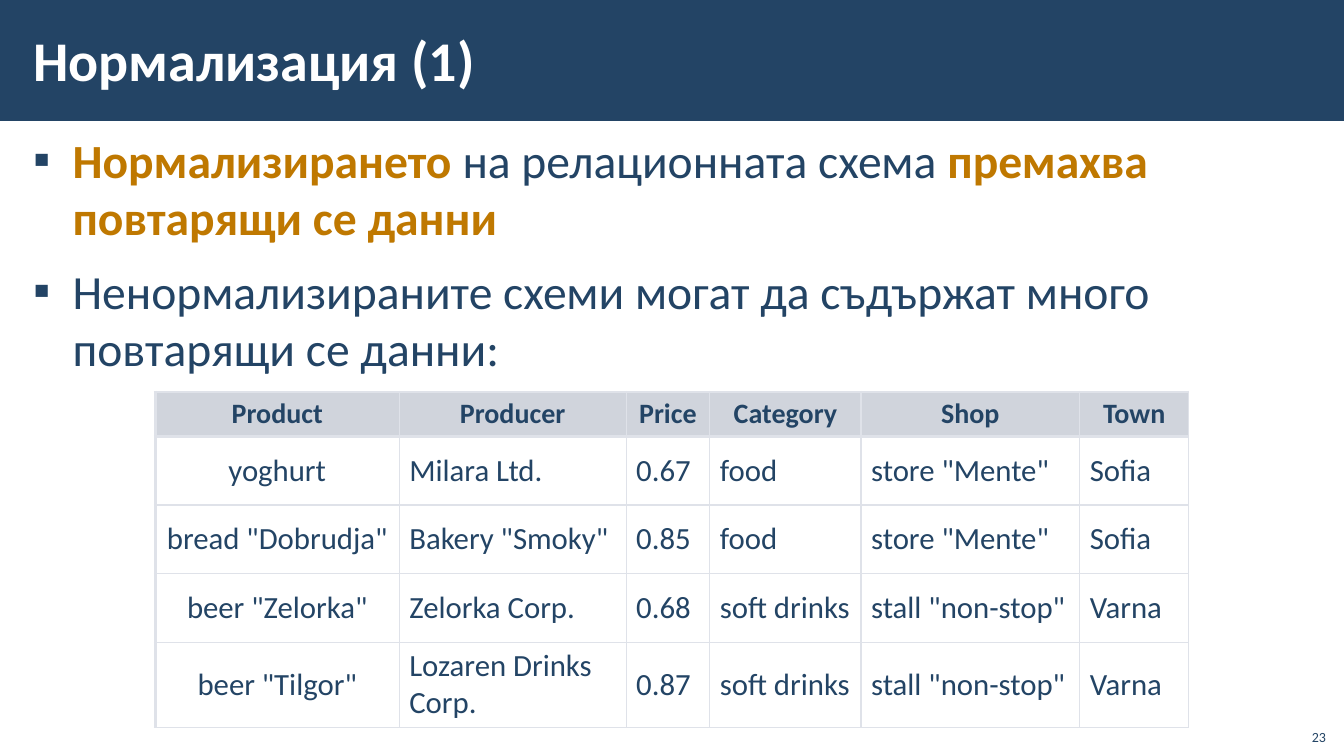
from dataclasses import dataclass

import lxml.etree
import pptx
import pptx.dml.color
import pptx.enum.shapes
import pptx.enum.text
import pptx.oxml.ns
import pptx.util
from pptx.util import Inches

ANCHOR = pptx.enum.text.MSO_ANCHOR
ALIGN = pptx.enum.text.PP_ALIGN


@dataclass(frozen=True)
class Theme:
    font: str = "Calibri"
    navy: str = "234465"
    amber: str = "BF7800"
    white: str = "FFFFFF"
    header: str = "D0D4DC"
    border: str = "DFE2E9"
    title_size: int = 40
    body_size: int = 34
    head_size: int = 20
    cell_size: int = 22
    number_size: int = 10
    thin: float = 0.96
    thick: float = 2.21


THEME = Theme()

BULLETS = [
    [("Нормализирането", True), (" на релационната схема ", False),
     ("премахва повтарящи се данни", True)],
    [("Ненормализираните схеми могат да съдържат много повтарящи се данни:", False)],
]

COLUMN_WIDTHS = [2.42, 2.25, 0.83, 1.5, 2.17, 1.08]
ROW_HEIGHTS = [0.44, 0.68, 0.68, 0.68, 0.84]
PRODUCTS = [
    ["Product", "Producer", "Price", "Category", "Shop", "Town"],
    ["yoghurt", "Milara Ltd.", "0.67", "food", 'store "Mente"', "Sofia"],
    ['bread "Dobrudja"', 'Bakery "Smoky"', "0.85", "food", 'store "Mente"', "Sofia"],
    ['beer "Zelorka"', "Zelorka Corp.", "0.68", "soft drinks", 'stall "non-stop"', "Varna"],
    ['beer "Tilgor"', "Lozaren Drinks Corp.", "0.87", "soft drinks", 'stall "non-stop"', "Varna"],
]


def color(value):
    return pptx.dml.color.RGBColor.from_string(value)


def set_font(font, size, value, bold=False):
    font.name = THEME.font
    font.size = pptx.util.Pt(size)
    font.bold = bold
    font.color.rgb = color(value)


def add_xml(parent, tag, **attributes):
    return lxml.etree.SubElement(parent, pptx.oxml.ns.qn(tag), attributes)


def set_frame(frame, anchor):
    frame.word_wrap = True
    frame.auto_size = pptx.enum.text.MSO_AUTO_SIZE.NONE
    frame.vertical_anchor = anchor
    frame.margin_left = frame.margin_right = Inches(0.12)
    frame.margin_top = frame.margin_bottom = Inches(0.04)


def add_header(page, left, top, width, height):
    # Band, placed behind the title
    title = page.shapes.title
    band = page.shapes.add_shape(
        pptx.enum.shapes.MSO_SHAPE.RECTANGLE, left, top, width, height)
    band.shadow.inherit = False
    band.fill.solid()
    band.fill.fore_color.rgb = color(THEME.navy)
    band.line.fill.background()
    title.element.addprevious(band.element)

    # Title
    title.left, title.top = left + Inches(0.21), top + Inches(0.11)
    title.width, title.height = Inches(11.23), Inches(0.96)
    set_frame(title.text_frame, ANCHOR.MIDDLE)
    title.text_frame.text = "Нормализация (1)"
    para = title.text_frame.paragraphs[0]
    para.alignment = ALIGN.LEFT
    set_font(para.font, THEME.title_size, THEME.white, True)


def add_bullets(page, left, top, width, height):
    frame = page.shapes.add_textbox(left, top, width, height).text_frame
    set_frame(frame, ANCHOR.TOP)
    for index, spans in enumerate(BULLETS):
        para = frame.add_paragraph() if index else frame.paragraphs[0]
        para.space_before = pptx.util.Pt(6 if index else 0)
        para.space_after = pptx.util.Pt(6)
        properties = para._p.get_or_add_pPr()
        properties.set("marL", str(Inches(0.39)))
        properties.set("indent", str(-Inches(0.39)))
        bullet_color = add_xml(properties, "a:buClr")
        add_xml(bullet_color, "a:srgbClr", val=THEME.navy)
        add_xml(properties, "a:buFont", typeface=THEME.font)
        add_xml(properties, "a:buChar", char="▪")
        for text, strong in spans:
            span = para.add_run()
            span.text = text
            set_font(span.font, THEME.body_size,
                     THEME.amber if strong else THEME.navy, strong)


def set_borders(cell, row, column):
    # Thick around the header row and down the left edge
    thick_sides = {"L": column == 0, "R": False, "T": row < 2, "B": row == 0}
    properties = cell._tc.get_or_add_tcPr()
    for side, thick in thick_sides.items():
        width = pptx.util.Pt(THEME.thick if thick else THEME.thin)
        line = add_xml(properties, f"a:ln{side}", w=str(width))
        add_xml(add_xml(line, "a:solidFill"), "a:srgbClr", val=THEME.border)


def add_product_table(page, left, top, width, height):
    table = page.shapes.add_table(
        len(PRODUCTS), len(COLUMN_WIDTHS), left, top, width, height).table
    table.horz_banding = False
    for column, column_width in zip(table.columns, COLUMN_WIDTHS):
        column.width = Inches(column_width)
    for row, row_height in zip(table.rows, ROW_HEIGHTS):
        row.height = Inches(row_height)
    for row, values in enumerate(PRODUCTS):
        is_header = row == 0
        for column, text in enumerate(values):
            cell = table.cell(row, column)
            cell.text = text
            cell.vertical_anchor = ANCHOR.MIDDLE
            set_borders(cell, row, column)
            if is_header:
                cell.fill.solid()
                cell.fill.fore_color.rgb = color(THEME.header)
            else:
                cell.fill.background()
            para = cell.text_frame.paragraphs[0]
            para.alignment = ALIGN.CENTER if is_header or column == 0 else ALIGN.LEFT
            set_font(para.font, THEME.head_size if is_header else THEME.cell_size,
                     THEME.navy, is_header)


def add_page_number(page, left, top, width, height):
    frame = page.shapes.add_textbox(left, top, width, height).text_frame
    set_frame(frame, ANCHOR.BOTTOM)
    frame.margin_left = frame.margin_right = Inches(0.1)
    frame.margin_bottom = Inches(0.05)
    frame.text = "23"
    para = frame.paragraphs[0]
    para.alignment = ALIGN.RIGHT
    set_font(para.font, THEME.number_size, THEME.navy)


def main():
    deck = pptx.Presentation()
    deck.slide_width, deck.slide_height = Inches(13.33), Inches(7.5)
    page = deck.slides.add_slide(deck.slide_layouts.get_by_name("Title Only"))
    add_header(page, 0, 0, deck.slide_width, Inches(1.2))
    add_bullets(page, Inches(0.21), Inches(1.26), Inches(12.91), Inches(2.6))
    add_product_table(page, Inches(1.54), Inches(3.89),
                      Inches(sum(COLUMN_WIDTHS)), Inches(sum(ROW_HEIGHTS)))
    add_page_number(page, Inches(12.85), Inches(7.12), Inches(0.4), Inches(0.32))
    deck.save("out.pptx")


if __name__ == "__main__":
    main()
